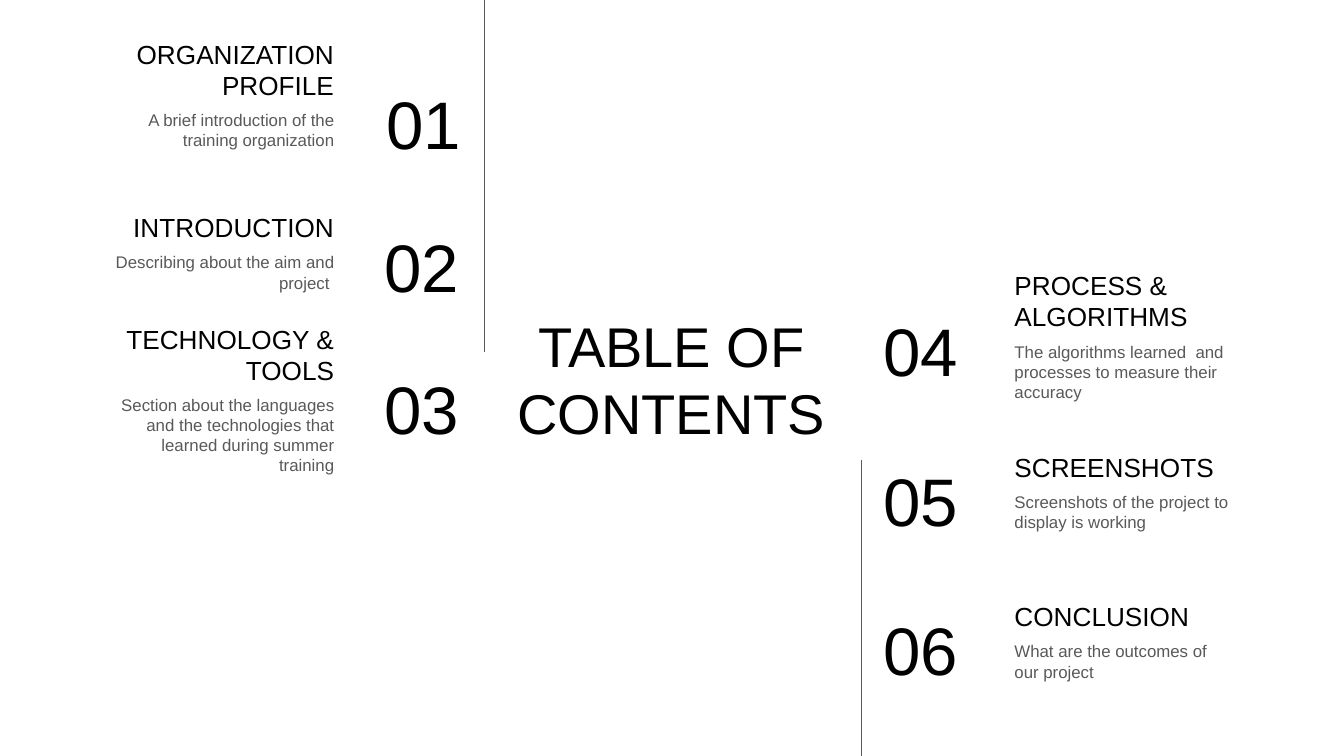
from lxml import etree
from pptx import Presentation
from pptx.dml.color import RGBColor
from pptx.enum.shapes import MSO_CONNECTOR
from pptx.enum.text import MSO_ANCHOR, MSO_AUTO_SIZE, PP_ALIGN
from pptx.oxml.ns import qn
from pptx.util import Pt

LEFT, CENTER, RIGHT = PP_ALIGN.LEFT, PP_ALIGN.CENTER, PP_ALIGN.RIGHT
TOP, MIDDLE, BOTTOM = MSO_ANCHOR.TOP, MSO_ANCHOR.MIDDLE, MSO_ANCHOR.BOTTOM
NO_FIT = MSO_AUTO_SIZE.NONE
STRAIGHT = MSO_CONNECTOR.STRAIGHT

PX = 4572
WIDTH, HEIGHT = 2000, 1125
BLACK, GRAY = "000000", "595959"
INSET = 20 * PX
FRAME = dict(word_wrap=True, auto_size=NO_FIT, margin_left=INSET,
             margin_top=INSET, margin_right=INSET, margin_bottom=INSET)

LEFT_ITEMS = [
    ((86, 44, 620), "01", "ORGANIZATION PROFILE",
     "A brief introduction of the training organization"),
    ((86, 256, 617), "02", "INTRODUCTION",
     "Describing about the aim and project "),
    ((86, 468, 617), "03", "TECHNOLOGY & TOOLS",
     "Section about the languages and the technologies that learned during summer training"),
]
RIGHT_ITEMS = [
    ((1295, 388, 627), "04", "PROCESS & ALGORITHMS",
     "The algorithms learned  and processes to measure their accuracy"),
    ((1295, 612, 627), "05", "SCREENSHOTS",
     "Screenshots of the project to display is working"),
    ((1295, 834, 627), "06", "CONCLUSION",
     "What are the outcomes of our project"),
]


def rgb(value):
    return RGBColor.from_string(value)


def set_attrs(obj, values):
    for name, value in values.items():
        setattr(obj, name, value)


def emu(*lengths):
    return [n * PX for n in lengths]


def write(sp, text, size, color, align, anchor):
    tf = sp.text_frame
    set_attrs(tf, dict(FRAME, vertical_anchor=anchor))
    p = tf.paragraphs[0]
    set_attrs(p, dict(alignment=align, line_spacing=1.0))
    r = p.add_run()
    r.text = text
    set_attrs(r.font, dict(name="Arial", size=Pt(size)))
    r.font.color.rgb = rgb(color)


def add_text(s, box, *style):
    write(s.shapes.add_textbox(*emu(*box)), *style)


def add_title(s, box, text):
    sp = s.shapes.title
    set_attrs(sp, dict(zip(("left", "top", "width", "height"), emu(*box))))
    write(sp, text, 30, BLACK, CENTER, MIDDLE)


def add_left_item(s, box, number, heading, detail):
    x, y, w = box
    add_text(s, (x, y, 431, 126), heading, 14, BLACK, RIGHT, BOTTOM)
    add_text(s, (x + 66, y + 99, 365, 126), detail, 9, GRAY, RIGHT, TOP)
    add_text(s, (x + w - 242, y + 76, 242, 126), number, 36, BLACK, RIGHT, MIDDLE)


def add_right_item(s, box, number, heading, detail):
    x, y, w = box
    text_x = x + w - 432
    add_text(s, (x, y + 69, 234, 126), number, 36, BLACK, LEFT, MIDDLE)
    add_text(s, (text_x, y, 432, 126), heading, 14, BLACK, LEFT, BOTTOM)
    add_text(s, (text_x, y + 100, 366, 126), detail, 9, GRAY, LEFT, TOP)


def add_divider(s, x, top, bottom):
    line = s.shapes.add_connector(STRAIGHT, *emu(x, top, x, bottom))
    line.line.color.rgb = rgb(GRAY)
    line.line.width = Pt(0.75)
    etree.SubElement(line._element.spPr, qn("a:effectLst"))


def main():
    prs = Presentation()
    set_attrs(prs, dict(slide_width=WIDTH * PX, slide_height=HEIGHT * PX))
    s = prs.slides.add_slide(prs.slide_layouts[5])
    add_title(s, (740, 460, 518, 206), "TABLE OF CONTENTS")
    for item in LEFT_ITEMS:
        add_left_item(s, *item)
    add_divider(s, 721, 0, 524)
    add_divider(s, 1282, 684, HEIGHT)
    for item in RIGHT_ITEMS:
        add_right_item(s, *item)
    prs.save("out.pptx")


if __name__ == "__main__":
    main()
